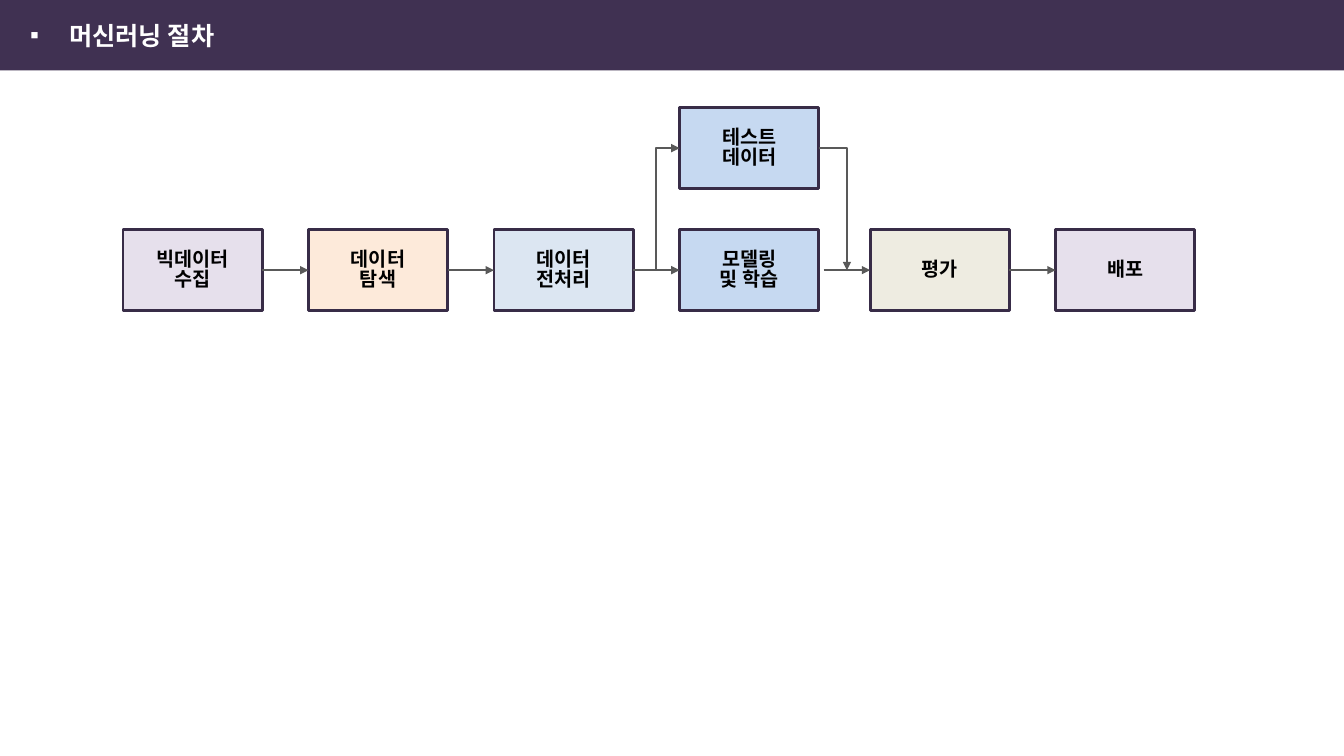
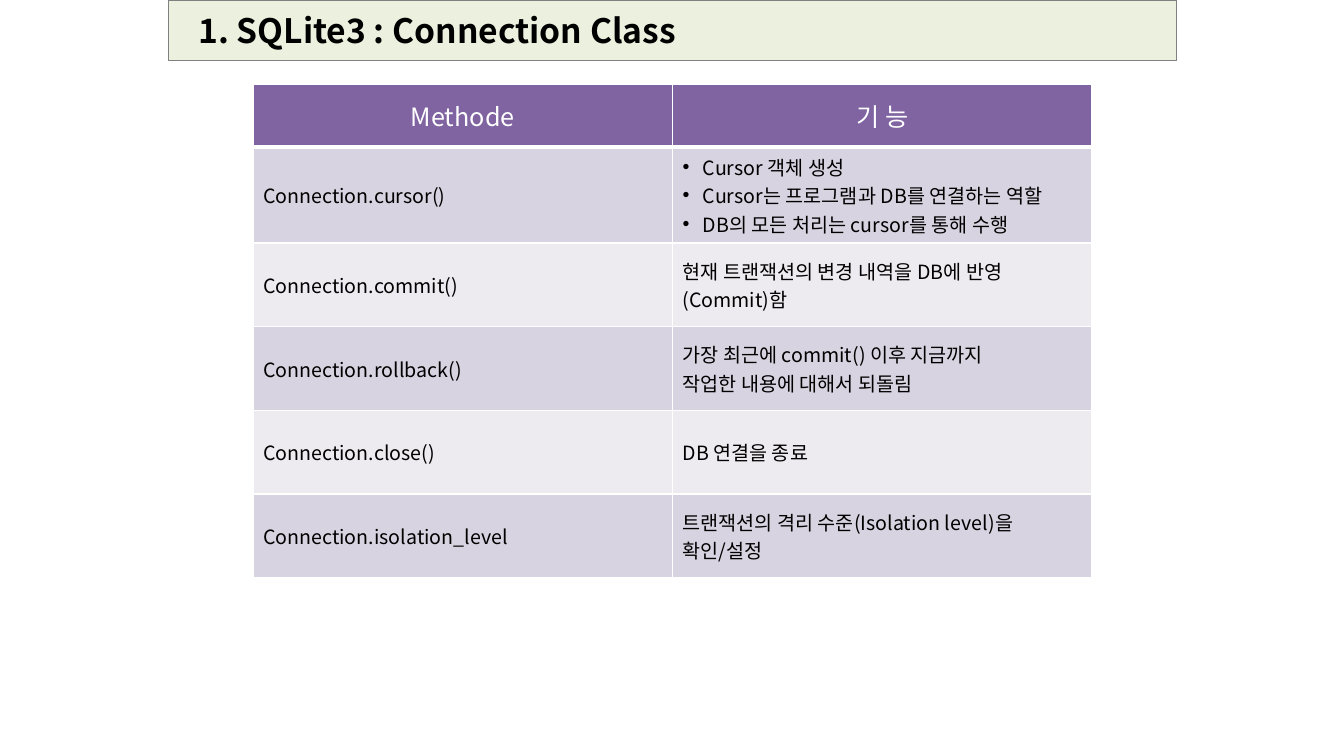
from lxml import etree
from pptx import Presentation
from pptx.dml.color import RGBColor
from pptx.enum.shapes import MSO_CONNECTOR, MSO_SHAPE
from pptx.enum.text import MSO_ANCHOR, PP_ALIGN
from pptx.oxml.ns import qn
from pptx.util import Inches, Pt

RECTANGLE = MSO_SHAPE.RECTANGLE
STRAIGHT, ELBOW = MSO_CONNECTOR.STRAIGHT, MSO_CONNECTOR.ELBOW
MIDDLE = MSO_ANCHOR.MIDDLE
LEFT, CENTER = PP_ALIGN.LEFT, PP_ALIGN.CENTER
LEFT_SITE, RIGHT_SITE = 1, 3

FONT = "Noto Sans CJK KR"
BLACK, WHITE = "000000", "FFFFFF"
BOX_LINE, ARROW = "382C47", "595959"
HEADER_FILL, BAND_FILLS = "8064A2", ("D8D3E0", "EDEAF0")

# Content
PROCESS_TITLE = "머신러닝 절차"
STEPS = [
    ("빅데이터\n수집", "E6E0EC"),
    ("데이터\n탐색", "FDEADA"),
    ("데이터\n전처리", "DCE6F2"),
    ("모델링\n및 학습", "C6D9F1"),
    ("평가", "EEECE1"),
    ("배포", "E6E0EC"),
]
TEST_STEP = ("테스트\n데이터", "C6D9F1")
MODEL, EVALUATION = 3, 4

CLASS_TITLE = "1. SQLite3 : Connection Class"
HEADERS = ("Methode", "기 능")
METHODS = [
    ("Connection.cursor()",
     "Cursor 객체 생성\nCursor는 프로그램과 DB를 연결하는 역할\n"
     "DB의 모든 처리는 cursor를 통해 수행"),
    ("Connection.commit()", "현재 트랜잭션의 변경 내역을 DB에 반영(Commit)함"),
    ("Connection.rollback()", "가장 최근에 commit() 이후 지금까지\n작업한 내용에 대해서 되돌림"),
    ("Connection.close()", "DB 연결을 종료"),
    ("Connection.isolation_level", "트랜잭션의 격리 수준(Isolation level)을\n확인/설정"),
]
BULLETED_ROW = 1

# Layout in inches
BOX_WIDTH, BOX_HEIGHT, BOX_GAP = 1.38, 0.8, 0.46
FLOW_LEFT, FLOW_TOP, TEST_TOP = 1.22, 2.28, 1.07
EVALUATION_SHIFT = 0.05
TABLE_LEFT, TABLE_TOP, COLUMN_WIDTH = 2.51, 0.84, 4.16
HEADER_HEIGHT, ROW_HEIGHT = 0.62, 0.83


def rgb(color):
    return RGBColor.from_string(color)


def set_text(text_frame, text, size, color=BLACK, bold=False, align=LEFT):
    text_frame.text = text
    for paragraph in text_frame.paragraphs:
        paragraph.alignment = align
        for run in paragraph.runs:
            font = run.font
            font.name, font.size, font.bold = FONT, Pt(size), bold
            font.color.rgb = rgb(color)
            properties = run._r.get_or_add_rPr()
            etree.SubElement(properties, qn("a:ea"), typeface=FONT)


def set_indent(paragraph, margin, indent=0, bullet=None):
    properties = paragraph._p.get_or_add_pPr()
    properties.set("marL", str(Inches(margin)))
    properties.set("indent", str(Inches(indent)))
    if bullet:
        etree.SubElement(properties, qn("a:buFont"), typeface="Arial")
        etree.SubElement(properties, qn("a:buChar"), char=bullet)


def add_rectangle(slide, left, top, width, height, fill, line=None, line_width=1):
    shape = slide.shapes.add_shape(
        RECTANGLE, Inches(left), Inches(top), Inches(width), Inches(height))
    shape.shadow.inherit = False
    shape.fill.solid()
    shape.fill.fore_color.rgb = rgb(fill)
    if line:
        shape.line.color.rgb = rgb(line)
        shape.line.width = Pt(line_width)
    else:
        shape.line.fill.background()
    shape.text_frame.word_wrap = True
    shape.text_frame.vertical_anchor = MIDDLE
    return shape


def add_title_bar(slide, text, size, color, bar, indent):
    shape = add_rectangle(slide, *bar)
    set_text(shape.text_frame, text, size, color, bold=True)
    set_indent(shape.text_frame.paragraphs[0], *indent)


def add_step(slide, left, top, text, fill):
    shape = add_rectangle(slide, left, top, BOX_WIDTH, BOX_HEIGHT, fill, BOX_LINE, 2)
    shape.text_frame.margin_left = shape.text_frame.margin_right = 0
    set_text(shape.text_frame, text, 14, bold=True, align=CENTER)
    for paragraph in shape.text_frame.paragraphs:
        paragraph.line_spacing = 0.85
    return shape


def add_arrow(slide, kind, start, end, width):
    connector = slide.shapes.add_connector(
        kind, *(Inches(value) for value in (*start, *end)))
    connector.line.color.rgb = rgb(ARROW)
    connector.line.width = Pt(width)
    etree.SubElement(connector.line._get_or_add_ln(), qn("a:tailEnd"), type="triangle")
    properties = connector._element.spPr
    etree.SubElement(properties, qn("a:effectLst"))
    if kind == ELBOW:
        properties.find(qn("a:prstGeom")).set("prst", "bentConnector2")
    return connector


def turn_up_first(connector):
    """Make a one-bend connector rise before it runs to the right."""
    center_x = connector.left + connector.width // 2
    center_y = connector.top + connector.height // 2
    width, height = connector.height, connector.width
    connector.width, connector.height = width, height
    connector.left, connector.top = center_x - width // 2, center_y - height // 2
    transform = connector._element.spPr.find(qn("a:xfrm"))
    for name, value in (("rot", "5400000"), ("flipH", "1"), ("flipV", "1")):
        transform.set(name, value)


def set_borders(cell, bottom_width):
    properties = cell._tc.get_or_add_tcPr()
    sides = (("a:lnL", 1), ("a:lnR", 1), ("a:lnT", 1), ("a:lnB", bottom_width))
    for position, (side, width) in enumerate(sides):
        line = etree.Element(qn(side), w=str(Pt(width)))
        fill = etree.SubElement(line, qn("a:solidFill"))
        etree.SubElement(fill, qn("a:srgbClr"), val=WHITE)
        properties.insert(position, line)


def build_process(slide):
    add_title_bar(slide, PROCESS_TITLE, 18, WHITE,
                  (0, 0, 13.33, 0.7, "403152"), (0.59, -0.39, "▪"))

    # Row of steps, with the test data above the model
    lefts = [FLOW_LEFT + index * (BOX_WIDTH + BOX_GAP)
             + (EVALUATION_SHIFT if index >= EVALUATION else 0)
             for index in range(len(STEPS))]
    boxes = [add_step(slide, left, FLOW_TOP, *step) for left, step in zip(lefts, STEPS)]
    add_step(slide, lefts[MODEL], TEST_TOP, *TEST_STEP)

    # Straight arrows
    flow_y = FLOW_TOP + BOX_HEIGHT / 2
    for index in range(1, len(boxes)):
        arrow = add_arrow(slide, STRAIGHT, (lefts[index] - BOX_GAP, flow_y),
                          (lefts[index], flow_y), 1.75)
        if index != EVALUATION:
            arrow.begin_connect(boxes[index - 1], RIGHT_SITE)
        arrow.end_connect(boxes[index], LEFT_SITE)

    # Detour through the test data
    test_y = TEST_TOP + BOX_HEIGHT / 2
    model_left, model_right = lefts[MODEL], lefts[MODEL] + BOX_WIDTH
    up = add_arrow(slide, ELBOW, (model_left - BOX_GAP / 2, flow_y),
                   (model_left, test_y), 1.5)
    turn_up_first(up)
    add_arrow(slide, ELBOW, (model_right, test_y),
              (lefts[EVALUATION] - BOX_GAP / 2, flow_y), 1.5)


def build_class_table(slide):
    add_title_bar(slide, CLASS_TITLE, 24, BLACK,
                  (1.67, 0, 10, 0.6, "EBF1DE", "808080"), (0.2,))

    rows = [HEADERS, *METHODS]
    table = slide.shapes.add_table(
        len(rows), len(HEADERS), Inches(TABLE_LEFT), Inches(TABLE_TOP),
        Inches(COLUMN_WIDTH * len(HEADERS)),
        Inches(HEADER_HEIGHT + ROW_HEIGHT * len(METHODS))).table
    for column in table.columns:
        column.width = Inches(COLUMN_WIDTH)
    for row_index, row in enumerate(rows):
        is_header = row_index == 0
        table.rows[row_index].height = Inches(HEADER_HEIGHT if is_header else ROW_HEIGHT)
        for column_index, text in enumerate(row):
            cell = table.cell(row_index, column_index)
            cell.vertical_anchor = MIDDLE
            cell.fill.solid()
            fill = HEADER_FILL if is_header else BAND_FILLS[(row_index - 1) % 2]
            cell.fill.fore_color.rgb = rgb(fill)
            set_borders(cell, 3 if is_header else 1)
            if is_header:
                set_text(cell.text_frame, text, 18, WHITE, align=CENTER)
            else:
                set_text(cell.text_frame, text, 14)
    for paragraph in table.cell(BULLETED_ROW, 1).text_frame.paragraphs:
        set_indent(paragraph, 0.2, -0.2, "•")


def main():
    presentation = Presentation()
    presentation.slide_width, presentation.slide_height = Inches(13.33), Inches(7.5)
    blank = presentation.slide_layouts[6]
    for build in (build_process, build_class_table):
        build(presentation.slides.add_slide(blank))
    presentation.save("out.pptx")


if __name__ == "__main__":
    main()
